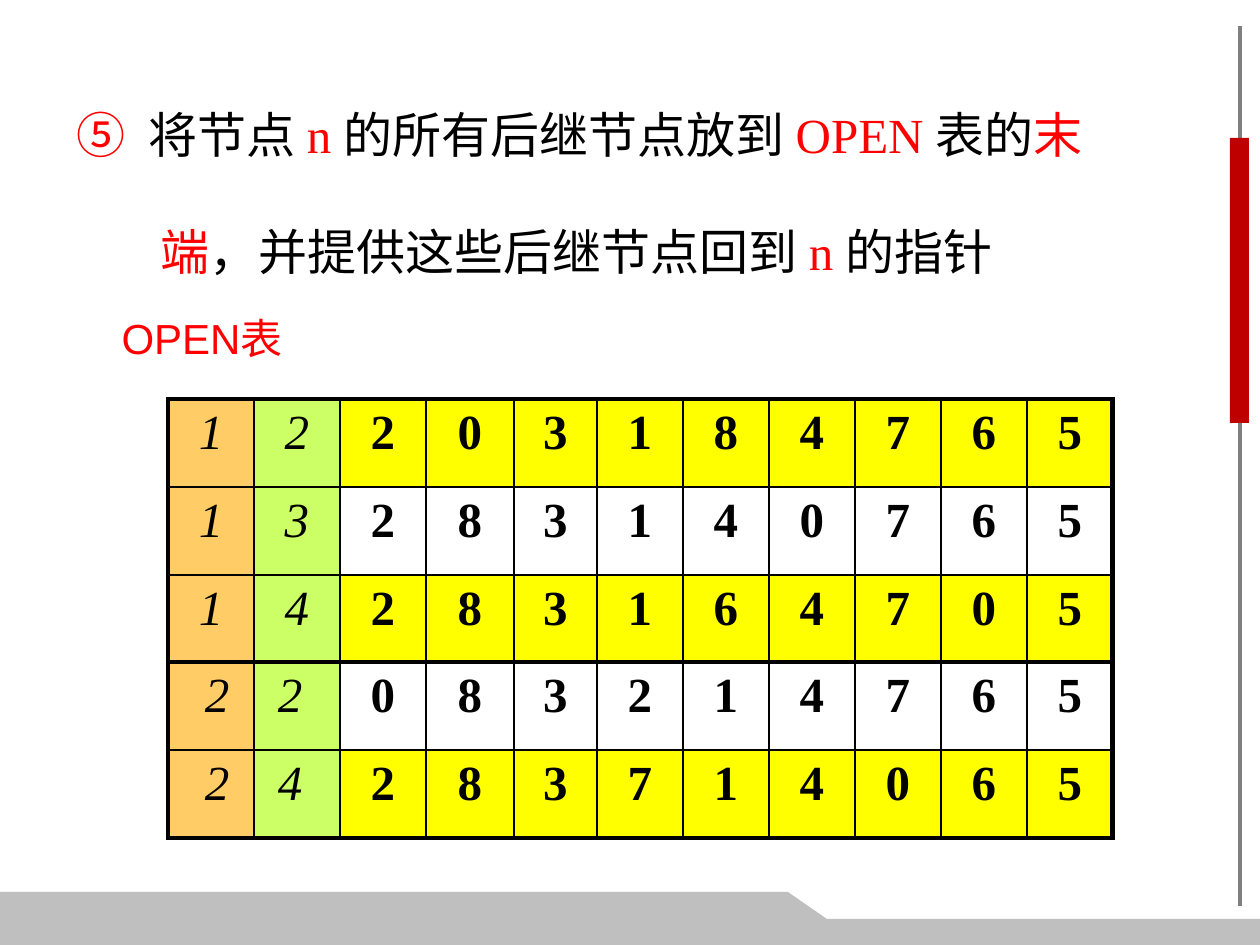
from dataclasses import dataclass

from lxml.etree import SubElement
from pptx import Presentation
from pptx.dml.color import RGBColor
from pptx.enum.shapes import MSO_CONNECTOR, MSO_SHAPE
from pptx.enum.text import MSO_ANCHOR, MSO_AUTO_SIZE, PP_ALIGN
from pptx.oxml.ns import qn
from pptx.util import Emu, Pt

PX_PER_INCH = 168
WIDTH, HEIGHT = 1260, 945


@dataclass(frozen=True)
class Theme:
    ink: str = "000000"
    accent: str = "FF0000"
    rail: str = "808080"
    bar: str = "BF0000"
    footer: str = "BFBFBF"
    ids: tuple = ("FFCC66", "CCFF66")
    stripes: tuple = ("FFFF00", "FFFFFF")
    serif: str = "Times New Roman"
    sans: str = "Arial"
    statement: int = 21
    label: int = 18
    thin: float = 1
    thick: float = 2.25


def px(n):
    return Emu(round(n * 914400 / PX_PER_INCH))


def rgb(color):
    return RGBColor.from_string(color)


class Deck:
    def __init__(self, theme):
        self.theme = theme
        self.prs = Presentation()
        self.prs.slide_width, self.prs.slide_height = px(WIDTH), px(HEIGHT)
        self.s = self.prs.slides.add_slide(self.prs.slide_layouts[5])

    def run(self, p, text, color, size, font, bold=False, italic=False):
        r = p.add_run()
        r.text = text
        r.font.name, r.font.size = font, Pt(size)
        r.font.bold, r.font.italic = bold, italic
        r.font.color.rgb = rgb(color)
        return r

    def paint(self, sp, color):
        sp.shadow.inherit = False
        sp.fill.solid()
        sp.fill.fore_color.rgb = rgb(color)
        sp.line.fill.background()

    def rect(self, x, y, w, h, color):
        sp = self.s.shapes.add_shape(MSO_SHAPE.RECTANGLE, px(x), px(y), px(w), px(h))
        self.paint(sp, color)

    def polygon(self, points, color):
        first, *rest = [(px(x), px(y)) for x, y in points]
        builder = self.s.shapes.build_freeform(*first)
        builder.add_line_segments(rest, close=True)
        self.paint(builder.convert_to_shape(), color)

    def line(self, x1, y1, x2, y2, color, weight):
        c = self.s.shapes.add_connector(
            MSO_CONNECTOR.STRAIGHT, px(x1), px(y1), px(x2), px(y2))
        c.line.color.rgb, c.line.width = rgb(color), Pt(weight)
        SubElement(c._element.spPr, qn("a:effectLst"))

    def title(self, x, y, w, h, marker, hanging, runs):
        sp = self.s.shapes.title
        sp.left, sp.top, sp.width, sp.height = px(x), px(y), px(w), px(h)
        tf = sp.text_frame
        tf.word_wrap, tf.auto_size = True, MSO_AUTO_SIZE.NONE
        tf.vertical_anchor = MSO_ANCHOR.TOP
        p = tf.paragraphs[0]
        p.alignment, p.line_spacing = PP_ALIGN.LEFT, 2.0
        pPr = p._p.get_or_add_pPr()
        pPr.set("marL", str(px(hanging)))
        pPr.set("indent", str(-px(hanging)))
        t = self.theme
        r = self.run(p, marker, t.accent, t.statement, t.serif)
        r.font._element.set("spc", "260")  # widens the gap after the marker
        for text, color in runs:
            self.run(p, text, color, t.statement, t.serif)

    def text(self, x, y, w, h, text, color, size, font):
        tf = self.s.shapes.add_textbox(px(x), px(y), px(w), px(h)).text_frame
        tf.word_wrap = True
        self.run(tf.paragraphs[0], text, color, size, font)

    def border(self, cell, side, weight):
        ln = SubElement(cell._tc.get_or_add_tcPr(), qn(f"a:ln{side}"), w=str(Pt(weight)))
        fill = SubElement(ln, qn("a:solidFill"))
        SubElement(fill, qn("a:srgbClr"), val=self.theme.ink)

    def cell(self, cell, text, fill, outer, is_id, align, shift):
        t = self.theme
        for side in "LRTB":
            self.border(cell, side, t.thick if outer[side] else t.thin)
        cell.fill.solid()
        cell.fill.fore_color.rgb = rgb(fill)
        cell.margin_left, cell.margin_right = px(12 + shift), px(12)
        cell.margin_top = cell.margin_bottom = px(7)
        p = cell.text_frame.paragraphs[0]
        p.alignment = align
        self.run(p, text, t.ink, t.statement, t.serif, bold=not is_id, italic=is_id)

    def table(self, x, y, widths, row_height, rows, first_stripe, id_aligns, id_shift):
        """Each row is (ids, tiles), one character to a cell."""
        t = self.theme
        table = self.s.shapes.add_table(
            len(rows), len(widths), px(x), px(y),
            px(sum(widths)), px(row_height * len(rows))).table
        table.first_row = table.horz_banding = False
        for column, width in zip(table.columns, widths):
            column.width = px(width)
        for i, (ids, tiles) in enumerate(rows):
            table.rows[i].height = px(row_height)
            stripe = t.stripes[(first_stripe + i) % len(t.stripes)]
            for j, value in enumerate(ids + tiles):
                is_id = j < len(ids)
                self.cell(
                    table.cell(i, j), value,
                    fill=t.ids[j] if is_id else stripe,
                    outer={"L": j == 0, "R": j == len(widths) - 1,
                           "T": i == 0, "B": i == len(rows) - 1},
                    is_id=is_id,
                    align=id_aligns[j] if is_id else PP_ALIGN.CENTER,
                    shift=id_shift if is_id else 0)


def main():
    t = Theme()
    deck = Deck(t)

    # Rail, red bar and stepped footer
    deck.line(1240, 26, 1240, 906, t.rail, 1.5)
    footer_high, footer_low = 892, 919
    deck.polygon([(0, footer_high), (788, footer_high), (827, footer_low),
                  (WIDTH, footer_low), (WIDTH, HEIGHT), (0, HEIGHT)], t.footer)
    deck.rect(1230, 138, 19, 285, t.bar)

    # Step statement and table label
    deck.title(60, 37, 1072, 254, marker="⑤ ", hanging=84, runs=[
        ("将节点 ", t.ink), ("n ", t.accent), ("的所有后继节点放到 ", t.ink),
        ("OPEN ", t.accent), ("表的", t.ink), ("末端", t.accent),
        ("，并提供这些后继节点回到 ", t.ink), ("n ", t.accent), ("的指针", t.ink)])
    deck.text(105, 304, 368, 67, "OPEN表", t.accent, t.label, t.sans)

    # OPEN table: two id columns, then the nine tiles of each puzzle state
    table_left, row_height = 168, 88
    widths = [86] * 3 + [88, 83] + [86] * 6
    first_states = [("12", "203184765"), ("13", "283140765"), ("14", "283164705")]
    added_states = [("22", "083214765"), ("24", "283714065")]
    center, left = PP_ALIGN.CENTER, PP_ALIGN.LEFT
    deck.table(table_left, 399, widths, row_height, first_states,
               first_stripe=0, id_aligns=(center, center), id_shift=0)
    deck.table(table_left, 662, widths, row_height, added_states,
               first_stripe=len(first_states), id_aligns=(center, left), id_shift=12)

    deck.prs.save("out.pptx")


if __name__ == "__main__":
    main()
